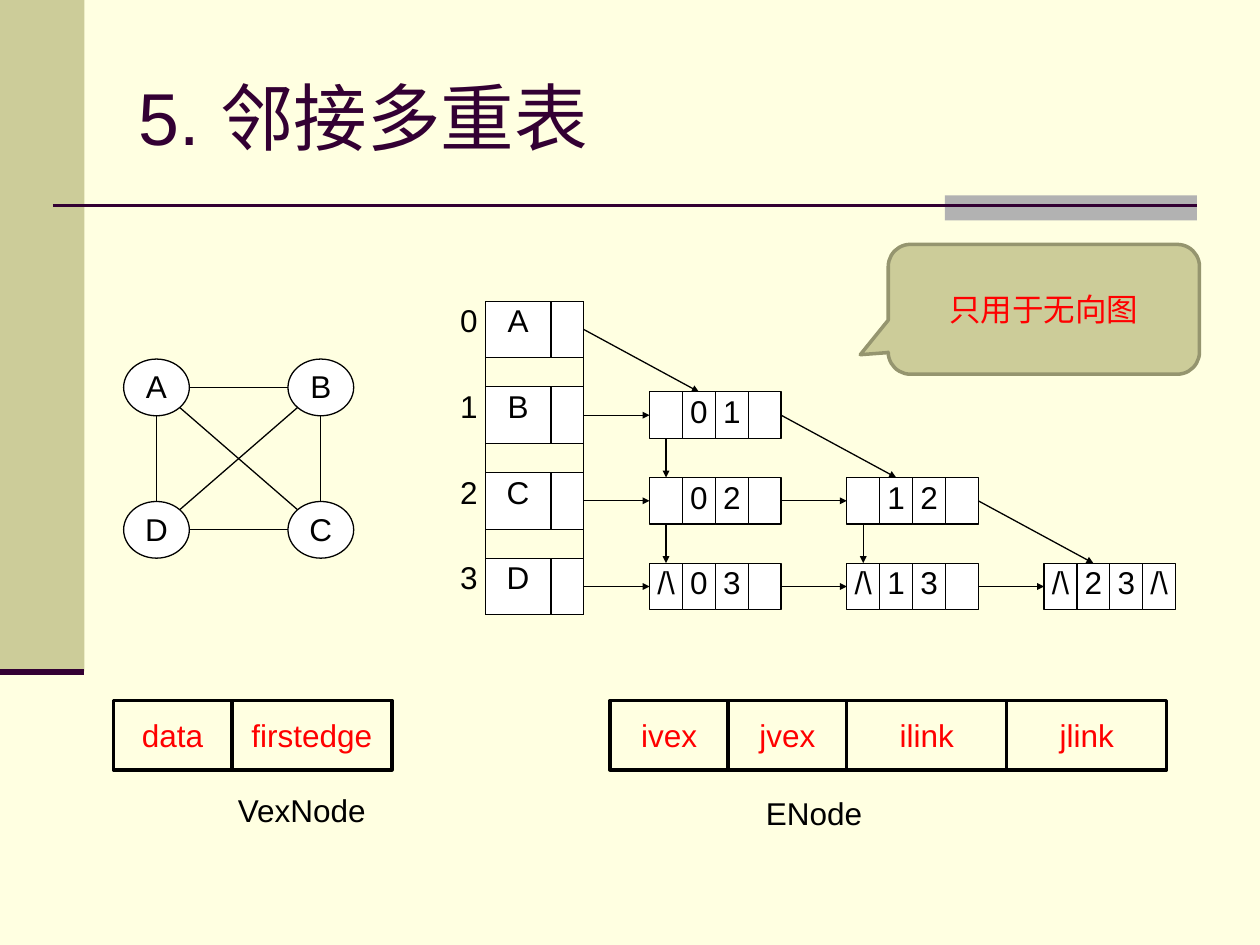
import math
from itertools import combinations

from lxml import etree
from pptx import Presentation
from pptx.dml.color import RGBColor
from pptx.enum.shapes import MSO_CONNECTOR, MSO_SHAPE
from pptx.enum.text import MSO_ANCHOR, MSO_AUTO_SIZE, PP_ALIGN
from pptx.oxml.ns import qn
from pptx.util import Inches, Pt

RECT, OVAL = MSO_SHAPE.RECTANGLE, MSO_SHAPE.OVAL
CALLOUT = MSO_SHAPE.ROUNDED_RECTANGULAR_CALLOUT
STRAIGHT = MSO_CONNECTOR.STRAIGHT
TOP, MIDDLE = MSO_ANCHOR.TOP, MSO_ANCHOR.MIDDLE
LEFT, CENTER = PP_ALIGN.LEFT, PP_ALIGN.CENTER
GROW = MSO_AUTO_SIZE.SHAPE_TO_FIT_TEXT

CREAM, KHAKI, OLIVE, GRAY = "FFFFE1", "CCCC99", "95956F", "B2B2B2"
PLUM, RED, BLACK, WHITE = "330033", "FF0000", "000000", "FFFFFF"

TITLE = "5. 邻接多重表"
REMARK = "只用于无向图"
VERTICES = ["A", "B", "C", "D"]
GRAPH_CORNERS = {"A": (0, 0), "B": (1, 0), "C": (1, 1), "D": (0, 1)}
NIL = "/\\"
EDGE_NODES = {  # (column, row): cell texts
    (0, 1): ("", "0", "1", ""),
    (0, 2): ("", "0", "2", ""),
    (0, 3): (NIL, "0", "3", ""),
    (1, 2): ("", "1", "2", ""),
    (1, 3): (NIL, "1", "3", ""),
    (2, 3): (NIL, "2", "3", NIL),
}
STRUCTS = [  # left edge, (field, width), caption, caption box
    (0.9, [("data", 0.94), ("firstedge", 1.27)], "VexNode", (1.79, 6.23, 1.23, 0.4)),
    (4.84, [("ivex", 0.94), ("jvex", 0.94), ("ilink", 1.27), ("jlink", 1.27)],
     "ENode", (5.98, 6.25, 0.98, 0.4)),
]

# The diagram sits on columns of one cell width, 22 from index to last link.
GRID_LEFT, GRID_TOP = 3.59, 2.39
CELL = 5.74 / 22
ROW_STEP, VERTEX_H, EDGE_H = 0.68, 0.45, 0.37
EDGE_INSET = (VERTEX_H - EDGE_H) / 2
BLOCK = 6  # cells from one edge-node column to the next
GRAPH_TOP, GRAPH_STEP_Y = 2.85, 1.13

prs = Presentation()
prs.slide_width, prs.slide_height = Inches(10), Inches(7.5)
slide = prs.slides.add_slide(prs.slide_layouts[6])


def rgb(color):
    return RGBColor.from_string(color)


def write(shape, text, size=18, color=BLACK, align=CENTER, anchor=TOP,
          insets=(0, 0), wrap=True, spacing=0):
    """Fill the shape with one paragraph; spacing (points) follows each space."""
    frame = shape.text_frame
    frame.word_wrap, frame.vertical_anchor = wrap, anchor
    if not wrap:
        frame.auto_size = GROW
    frame.margin_left = frame.margin_right = Inches(insets[0])
    frame.margin_top = frame.margin_bottom = Inches(insets[1])
    paragraph = frame.paragraphs[0]
    paragraph.alignment = align
    run = paragraph.add_run()
    run.text = text
    run.font.size, run.font.name = Pt(size), "Arial"
    run.font.color.rgb = rgb(color)


def text_box(box, text, **text_format):
    write(slide.shapes.add_textbox(*map(Inches, box)), text, **text_format)


def block(kind, box, text="", fill=WHITE, line=BLACK, width=0.75, **text_format):
    shape = slide.shapes.add_shape(kind, *map(Inches, box))
    shape.shadow.inherit = False
    shape.fill.solid()
    shape.fill.fore_color.rgb = rgb(fill)
    if line:
        shape.line.color.rgb = rgb(line)
        shape.line.width = Pt(width)
    else:
        shape.line.fill.background()
    if text:
        write(shape, text, **text_format)
    return shape


def connect(start, end, color=BLACK, width=0.75, arrow=False):
    connector = slide.shapes.add_connector(STRAIGHT, *map(Inches, (*start, *end)))
    connector.line.color.rgb = rgb(color)
    connector.line.width = Pt(width)
    if arrow:
        etree.SubElement(connector.line._get_or_add_ln(), qn("a:tailEnd"),
                         type="triangle", w="sm", len="sm")
    etree.SubElement(connector._element.spPr, qn("a:effectLst"))


def grid_x(column):
    return GRID_LEFT + column * CELL


def row_y(row):
    return GRID_TOP + row * ROW_STEP


def row_middle(row):
    return row_y(row) + VERTEX_H / 2


def draw_frame():
    slide.background.fill.solid()
    slide.background.fill.fore_color.rgb = rgb(CREAM)
    block(RECT, (0, 0, 0.67, 5.33), fill=KHAKI, line=None)
    block(RECT, (7.5, 1.55, 2, 0.2), fill=GRAY, line=None)
    connect((0.42, 1.63), (9.5, 1.63), PLUM, 1.5)
    connect((0, 5.33), (0.67, 5.33), PLUM, 3.5)
    text_box((1, 0.3, 8.5, 1.25), TITLE, size=42, color=PLUM,
             align=LEFT, anchor=MIDDLE, insets=(0.1, 0.05))


def draw_graph():
    radius_x, radius_y = CELL, VERTEX_H / 2
    centers = {}
    for name, (column, row) in GRAPH_CORNERS.items():
        left, top = grid_x(5 * column - 10), GRAPH_TOP + row * GRAPH_STEP_Y
        block(OVAL, (left, top, 2 * CELL, VERTEX_H), name)
        centers[name] = (left + radius_x, top + radius_y)
    for a, b in combinations(GRAPH_CORNERS, 2):
        step_x, step_y = (q - p for p, q in zip(GRAPH_CORNERS[a], GRAPH_CORNERS[b]))
        length = math.hypot(step_x, step_y)
        trim_x, trim_y = radius_x * step_x / length, radius_y * step_y / length
        (ax, ay), (bx, by) = centers[a], centers[b]
        connect((ax + trim_x, ay + trim_y), (bx - trim_x, by - trim_y))


def draw_vertex_list():
    for row, name in enumerate(VERTICES):
        top = row_y(row)
        text_box((grid_x(0), top, CELL, VERTEX_H), str(row))
        block(RECT, (grid_x(1), top, 2 * CELL, VERTEX_H), name)
        block(RECT, (grid_x(3), top, CELL, VERTEX_H))
    bottom = row_y(len(VERTICES) - 1) + VERTEX_H
    for column in (1, 4):
        connect((grid_x(column), GRID_TOP), (grid_x(column), bottom))


def draw_edge_nodes():
    for (column, row), cells in EDGE_NODES.items():
        first = BLOCK * (column + 1)
        top = row_y(row) + EDGE_INSET
        for offset, text in enumerate(cells):
            block(RECT, (grid_x(first + offset), top, CELL, EDGE_H), text)
        source_x = grid_x(first - 2)
        connect((source_x, row_middle(row)), (grid_x(first), row_middle(row)), arrow=True)
        if (column, row - 1) in EDGE_NODES:
            link_x = grid_x(first + 0.5)
            connect((link_x, top - ROW_STEP + EDGE_H), (link_x, top), arrow=True)
        else:
            connect((source_x, row_middle(row - 1)), (grid_x(first + 1.5), top), arrow=True)


def draw_structs():
    for left, fields, caption, caption_box in STRUCTS:
        for field, width in fields:
            block(RECT, (left, 5.56, width, 0.55), field, fill=CREAM, width=2,
                  color=RED, anchor=MIDDLE, insets=(0.1, 0.05))
            left += width
        text_box(caption_box, caption, align=LEFT, insets=(0.1, 0.05), wrap=False)


def draw_remark():
    remark = block(CALLOUT, (7.05, 1.94, 2.47, 1.03), REMARK, fill=KHAKI, line=OLIVE,
                   width=2, color=RED, anchor=MIDDLE, insets=(0.1, 0.05))
    for i, value in enumerate((-0.59, 0.35, 0.17)):
        remark.adjustments[i] = value


draw_frame()
draw_graph()
draw_vertex_list()
draw_edge_nodes()
draw_structs()
draw_remark()
prs.save("out.pptx")
